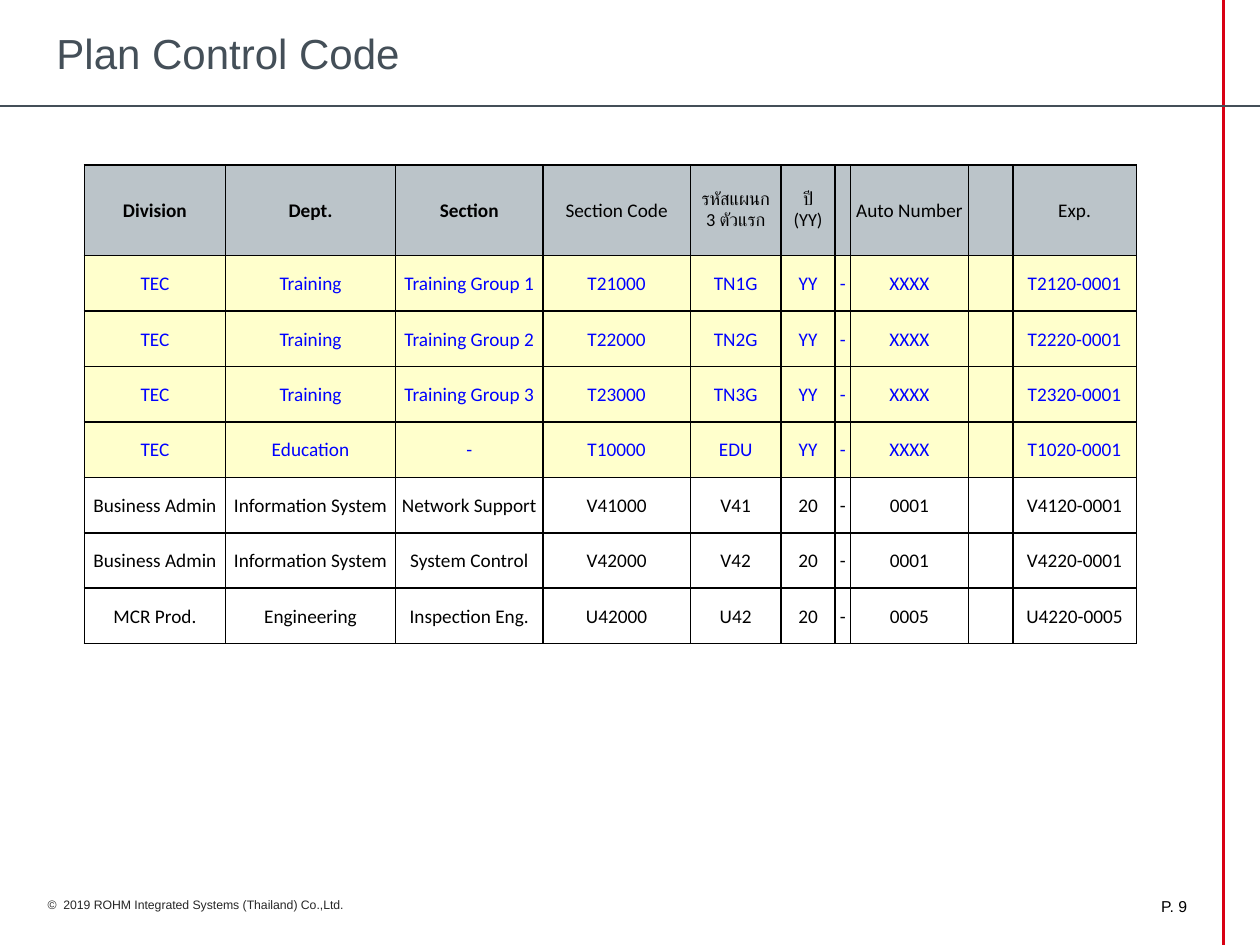
from dataclasses import dataclass
from typing import Optional

import lxml.etree
import pptx
import pptx.dml.color
import pptx.enum.shapes
import pptx.enum.text
import pptx.oxml.ns
import pptx.util

Inches = pptx.util.Inches
Pt = pptx.util.Pt
Align = pptx.enum.text.PP_ALIGN
Anchor = pptx.enum.text.MSO_ANCHOR
qn = pptx.oxml.ns.qn

COLORS = {
    "red": "D90013", "slate": "444F58", "black": "000000", "footer": "272727",
    "header": "BBC4C9", "yellow": "FFFFCC", "blue": "0000FF",
}


@dataclass
class Rule:
    start: tuple[float, float]
    end: tuple[float, float]
    color: str
    width: float


@dataclass
class Label:
    text: str
    box: tuple[float, float, float, float]
    size: float
    color: str
    align: Align = Align.LEFT
    anchor: Anchor = Anchor.TOP


@dataclass
class CellStyle:
    color: str
    fill: Optional[str] = None
    size: float = 11
    bold: bool = False


RULES = [
    Rule((9.71, 7.5), (9.71, 0), "red", 2),
    Rule((0, 0.84), (10, 0.84), "slate", 1),
]
LABELS = [
    Label("P. 9", (8.42, 7.07, 1.1, 0.42), 9, "black", Align.RIGHT),
    Label("©  2019 ROHM Integrated Systems (Thailand) Co.,Ltd.",
          (0.28, 7.07, 3.4, 0.22), 7, "footer"),
    Label("Plan Control Code", (0.35, 0.05, 8.43, 0.74), 24, "slate", anchor=Anchor.MIDDLE),
]

COLUMN_WIDTHS = [1.12, 1.35, 1.17, 1.17, 0.72, 0.43, 0.12, 0.94, 0.35, 0.98]
HEADER_HEIGHT, ROW_HEIGHT = 0.72, 0.44

HEADER = CellStyle("black", "header")
HEADER_BOLD = CellStyle("black", "header", bold=True)
HEADER_THAI = CellStyle("black", "header", size=10.5)
HEADER_STYLES = [HEADER_BOLD] * 3 + [HEADER] + [HEADER_THAI] * 2 + [HEADER] * 4
PATTERN_ROW = [CellStyle("blue", "yellow")] * len(COLUMN_WIDTHS)
EXAMPLE_ROW = [CellStyle("black")] * len(COLUMN_WIDTHS)

HEADINGS = ["Division", "Dept.", "Section", "Section Code", "รหัสแผนก\n3 ตัวแรก",
            "ปี\n(YY)", "", "Auto Number", "", "Exp."]
# Division, department, section, section code, prefix, year, number, example
PATTERNS = [
    ("TEC", "Training", "Training Group 1", "T21000", "TN1G", "YY", "XXXX", "T2120-0001"),
    ("TEC", "Training", "Training Group 2", "T22000", "TN2G", "YY", "XXXX", "T2220-0001"),
    ("TEC", "Training", "Training Group 3", "T23000", "TN3G", "YY", "XXXX", "T2320-0001"),
    ("TEC", "Education", "-", "T10000", "EDU", "YY", "XXXX", "T1020-0001"),
]
EXAMPLES = [
    ("Business Admin", "Information System", "Network Support", "V41000", "V41", "20",
     "0001", "V4120-0001"),
    ("Business Admin", "Information System", "System Control", "V42000", "V42", "20",
     "0001", "V4220-0001"),
    ("MCR Prod.", "Engineering", "Inspection Eng.", "U42000", "U42", "20",
     "0005", "U4220-0005"),
]


def rgb(name: str) -> pptx.dml.color.RGBColor:
    return pptx.dml.color.RGBColor.from_string(COLORS[name])


def add_text(paragraph, text: str, font: str, size: float, color: str,
             bold: bool = False) -> None:
    for index, line in enumerate(text.split("\n")):
        if index:
            paragraph.add_line_break()
        run = paragraph.add_run()
        run.text = line
        run.font.name = font
        run.font.size = Pt(size)
        run.font.bold = bold
        run.font.color.rgb = rgb(color)


def add_rule(slide, rule: Rule) -> None:
    connector = slide.shapes.add_connector(
        pptx.enum.shapes.MSO_CONNECTOR.STRAIGHT,
        *(Inches(value) for value in rule.start + rule.end))
    connector.line.color.rgb = rgb(rule.color)
    connector.line.width = Pt(rule.width)
    lxml.etree.SubElement(connector._element.spPr, qn("a:effectLst"))


def add_label(slide, label: Label) -> None:
    frame = slide.shapes.add_textbox(*(Inches(value) for value in label.box)).text_frame
    frame.word_wrap = True
    frame.vertical_anchor = label.anchor
    paragraph = frame.paragraphs[0]
    paragraph.alignment = label.align
    add_text(paragraph, label.text, "Arial", label.size, label.color)


def add_borders(cell) -> None:
    properties = cell._tc.get_or_add_tcPr()
    for side in ("a:lnL", "a:lnR", "a:lnT", "a:lnB"):
        border = lxml.etree.SubElement(properties, qn(side), w=str(Pt(1)))
        fill = lxml.etree.SubElement(border, qn("a:solidFill"))
        lxml.etree.SubElement(fill, qn("a:srgbClr"), val=COLORS["black"])


def fill_cell(cell, text: str, style: CellStyle) -> None:
    cell.margin_left = cell.margin_right = cell.margin_top = Inches(0.01)
    cell.margin_bottom = 0
    cell.vertical_anchor = Anchor.MIDDLE
    add_borders(cell)
    if style.fill:
        cell.fill.solid()
        cell.fill.fore_color.rgb = rgb(style.fill)
    else:
        cell.fill.background()
    paragraph = cell.text_frame.paragraphs[0]
    paragraph.alignment = Align.CENTER
    if text:
        add_text(paragraph, text, "Calibri", style.size, style.color, style.bold)
    else:
        paragraph.font.size = Pt(style.size)


def with_separators(record: tuple[str, ...]) -> list[str]:
    """Put the dash before the number and the empty column before the example."""
    *codes, number, example = record
    return [*codes, "-", number, "", example]


def add_code_table(slide) -> None:
    rows = [(HEADINGS, HEADER_STYLES)]
    rows += [(with_separators(record), PATTERN_ROW) for record in PATTERNS]
    rows += [(with_separators(record), EXAMPLE_ROW) for record in EXAMPLES]
    heights = [HEADER_HEIGHT] + [ROW_HEIGHT] * (len(rows) - 1)
    table = slide.shapes.add_table(
        len(rows), len(COLUMN_WIDTHS), Inches(0.67), Inches(1.31),
        Inches(sum(COLUMN_WIDTHS)), Inches(sum(heights))).table
    table.first_row = table.horz_banding = False
    for column, width in zip(table.columns, COLUMN_WIDTHS):
        column.width = Inches(width)
    for row, height, (texts, styles) in zip(table.rows, heights, rows):
        row.height = Inches(height)
        for cell, text, style in zip(row.cells, texts, styles):
            fill_cell(cell, text, style)


def main() -> None:
    presentation = pptx.Presentation()
    presentation.slide_width = Inches(10)
    presentation.slide_height = Inches(7.5)
    slide = presentation.slides.add_slide(presentation.slide_layouts[6])
    for rule in RULES:
        add_rule(slide, rule)
    for label in LABELS:
        add_label(slide, label)
    add_code_table(slide)
    presentation.save("out.pptx")


if __name__ == "__main__":
    main()
